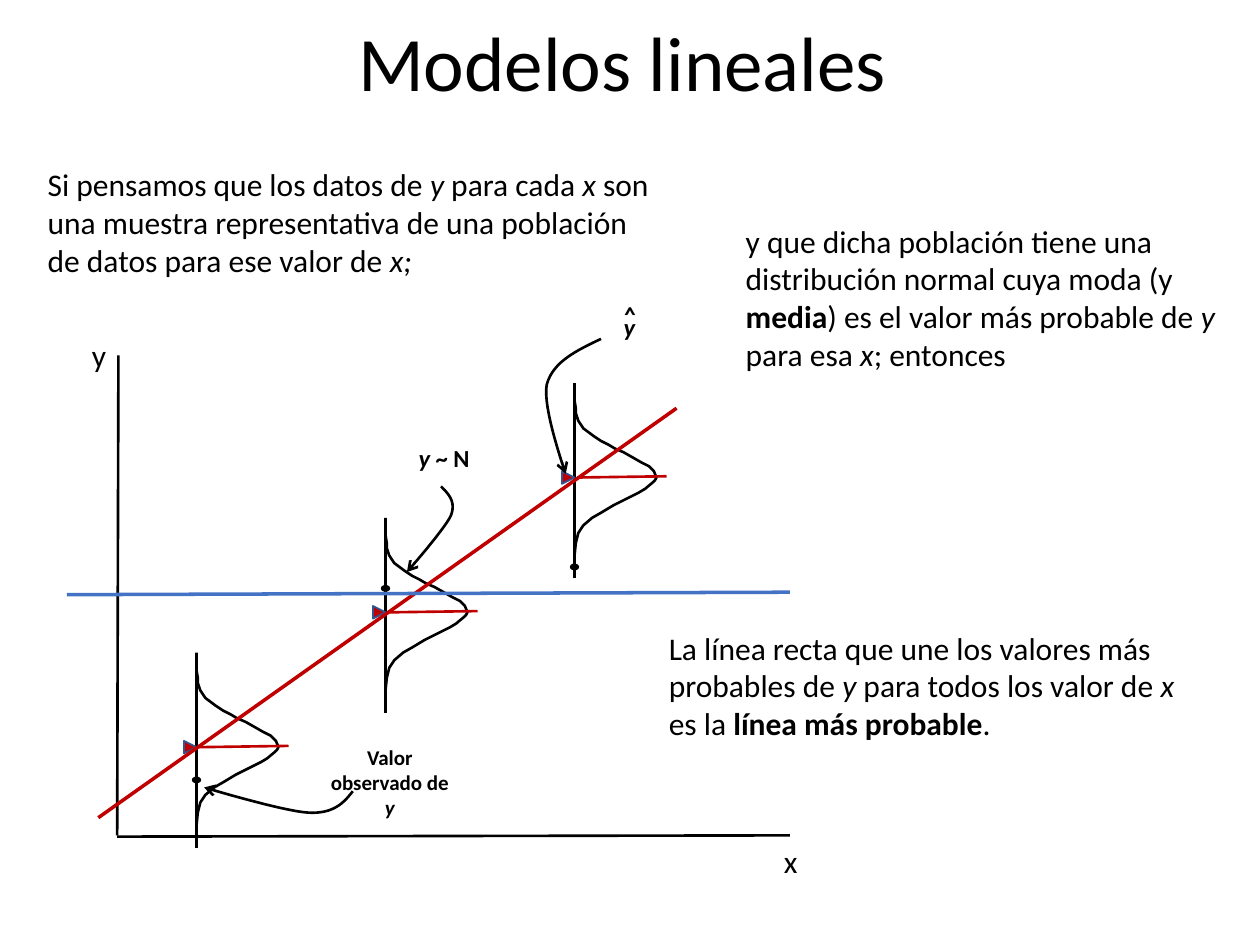
from lxml import etree
from pptx import Presentation
from pptx.dml.color import RGBColor
from pptx.enum import shapes, text
from pptx.oxml.ns import qn
from pptx.util import Inches, Pt

BLACK = RGBColor(0x00, 0x00, 0x00)
RED = RGBColor(0xC0, 0x00, 0x00)
BLUE = RGBColor(0x44, 0x72, 0xC4)
DARK_BLUE = RGBColor(0x32, 0x54, 0x91)
FONT = "Calibri"

# Offsets (right, down) from the mean of a normal curve lying on its side
BELL = [
    (0, 0.75), (0, 0.69), (0, 0.62), (0.01, 0.52), (0.03, 0.44), (0.07, 0.38),
    (0.14, 0.32), (0.21, 0.28), (0.31, 0.22), (0.41, 0.17), (0.51, 0.12),
    (0.56, 0.09), (0.62, 0.04), (0.64, 0.02), (0.65, 0), (0.63, -0.05),
    (0.59, -0.09), (0.53, -0.12), (0.46, -0.16), (0.39, -0.2), (0.32, -0.23),
    (0.27, -0.26), (0.21, -0.29), (0.15, -0.33), (0.07, -0.39), (0.03, -0.45),
    (0.01, -0.51), (0.01, -0.55), (0, -0.61), (0, -0.67), (0, -0.75),
]
BASE_BELOW, BASE_ABOVE = 0.8, 0.75
MODE_LENGTH = 0.73
TRIANGLE_SIZE = 0.1
DOT_WIDTH, DOT_HEIGHT = 0.06, 0.04

# The means lie on a straight line, one equal step apart
FIRST_MEAN_X, FIRST_MEAN_Y = 1.56, 5.93
MEAN_STEP_X, MEAN_STEP_Y = 1.5, -1.07
OBSERVED_TOPS = [6.17, 4.65, 4.48]

# Each pointer is a start followed by two cubic segments
POINTER_TO_CURVE = [(3.5, 3.86), (3.56, 3.92), (3.62, 3.98), (3.58, 4.09),
                    (3.53, 4.2), (3.23, 4.54), (3.23, 4.54)]
POINTER_TO_OBSERVED = [(2.8, 6.28), (2.73, 6.37), (2.65, 6.46), (2.45, 6.45),
                       (2.25, 6.44), (1.62, 6.25), (1.62, 6.25)]
POINTER_TO_MEAN = [(4.77, 2.69), (4.58, 2.78), (4.39, 2.87), (4.34, 3.05),
                   (4.3, 3.23), (4.49, 3.76), (4.49, 3.76)]


def write_text(shape, runs, size=18, align=None, anchor=text.MSO_ANCHOR.TOP, spacing=None):
    """Fill a shape with one paragraph of (words, style) runs; style holds b and/or i."""
    frame = shape.text_frame
    frame.word_wrap = True
    frame.vertical_anchor = anchor
    paragraph = frame.paragraphs[0]
    paragraph.alignment = align
    paragraph.line_spacing = spacing
    for words, style in runs:
        run = paragraph.add_run()
        run.text = words
        run.font.name = FONT
        run.font.size = Pt(size)
        run.font.color.rgb = BLACK
        run.font.bold = "b" in style
        run.font.italic = "i" in style


def add_text(slide, box, runs, **text_format):
    shape = slide.shapes.add_textbox(*map(Inches, box))
    write_text(shape, runs, **text_format)
    shape.text_frame.auto_size = text.MSO_AUTO_SIZE.SHAPE_TO_FIT_TEXT


def format_line(shape, color, width):
    shape.line.color.rgb = color
    shape.line.width = Pt(width)


def add_line(slide, start, end, color=BLACK, width=1.5):
    line = slide.shapes.add_connector(
        shapes.MSO_CONNECTOR.STRAIGHT, *map(Inches, (*start, *end)))
    format_line(line, color, width)
    etree.SubElement(line._element.spPr, qn("a:effectLst"))


def add_marker(slide, kind, box, fill, outline, rotation=0):
    marker = slide.shapes.add_shape(kind, *map(Inches, box))
    marker.rotation = rotation
    marker.shadow.inherit = False
    marker.fill.solid()
    marker.fill.fore_color.rgb = fill
    format_line(marker, outline, 1)


def add_curve(slide, points):
    start, *others = [(Inches(x), Inches(y)) for x, y in points]
    builder = slide.shapes.build_freeform(*start)
    builder.add_line_segments(others, close=False)
    curve = builder.convert_to_shape()
    curve.shadow.inherit = False
    curve.fill.background()
    format_line(curve, BLACK, 1.5)
    return curve


def cubic_point(segment, t):
    """Return the point at fraction t of a cubic segment with four control points."""
    weights = ((1 - t) ** 3, 3 * t * (1 - t) ** 2, 3 * t ** 2 * (1 - t), t ** 3)
    return tuple(sum(weight * value for weight, value in zip(weights, values))
                 for values in zip(*segment))


def add_pointer(slide, controls, steps=16):
    """Draw a chain of cubic segments that ends in an arrowhead."""
    points = [controls[0]]
    for first in range(0, len(controls) - 1, 3):
        segment = controls[first:first + 4]
        points += [cubic_point(segment, step / steps) for step in range(1, steps + 1)]
    pointer = add_curve(slide, points)
    outline = pointer._element.spPr.find(qn("a:ln"))
    etree.SubElement(outline, qn("a:tailEnd"), type="arrow")


def add_distribution(slide, x, y):
    """Draw the normal curve around mean y, with its base, mean marker and mode line."""
    add_curve(slide, [(x + right, y + down) for right, down in BELL])
    add_line(slide, (x, y + BASE_BELOW), (x, y - BASE_ABOVE))
    add_marker(slide, shapes.MSO_SHAPE.ISOSCELES_TRIANGLE,
               (x - TRIANGLE_SIZE, y - TRIANGLE_SIZE / 2, TRIANGLE_SIZE, TRIANGLE_SIZE),
               RED, DARK_BLUE, rotation=90)
    add_line(slide, (x + MODE_LENGTH, y - 0.01), (x + 0.02, y), RED)


def add_observed_value(slide, x, top):
    add_marker(slide, shapes.MSO_SHAPE.OVAL,
               (x - DOT_WIDTH / 2, top, DOT_WIDTH, DOT_HEIGHT), BLACK, BLACK)


def add_axes(slide):
    add_line(slide, (0.94, 2.82), (0.93, 6.63))
    add_line(slide, (6.27, 6.63), (0.93, 6.64))


def add_plot(slide):
    add_axes(slide)
    for index, observed_top in enumerate(OBSERVED_TOPS):
        x = FIRST_MEAN_X + index * MEAN_STEP_X
        y = FIRST_MEAN_Y + index * MEAN_STEP_Y
        add_distribution(slide, x, y)
        add_observed_value(slide, x, observed_top)
    for controls in (POINTER_TO_CURVE, POINTER_TO_OBSERVED, POINTER_TO_MEAN):
        add_pointer(slide, controls)
    add_line(slide, (0.78, 6.49), (5.37, 3.24), RED, width=2)
    add_line(slide, (0.53, 4.72), (6.27, 4.7), BLUE, width=2)


def add_plot_labels(slide):
    labels = [
        ((0.56, 2.62, 0.45, 0.36), 18, [("y", "")]),
        ((6.05, 6.63, 0.45, 0.36), 18, [("x", "")]),
        ((2.51, 5.86, 1.17, 0.71), 12, [("Valor observado de ", "b"), ("y", "bi")]),
        ((2.98, 3.47, 1.09, 0.34), 14, [("y", "bi"), (" ~ N", "b")]),
        ((4.45, 2.43, 1.09, 0.34), 14, [("y", "bi")]),
        ((4.8, 2.33, 0.39, 0.34), 14, [("^", "bi")]),
    ]
    for box, size, runs in labels:
        add_text(slide, box, runs, size=size, align=text.PP_ALIGN.CENTER)


def add_explanations(slide):
    add_text(slide, (0.28, 1.26, 5.05, 1.01), [
        ("Si pensamos que los datos de ", ""), ("y", "i"), (" para cada ", ""), ("x", "i"),
        (" son una muestra representativa de una población de datos para ese valor de ", ""),
        ("x;", "i")])
    add_text(slide, (5.82, 1.71, 4.01, 1.31), [
        ("y que dicha población tiene una distribución normal cuya moda (y ", ""),
        ("media", "b"), (") es el valor más probable de ", ""), ("y", "i"),
        (" para esa ", ""), ("x", "i"), ("; entonces", "")])
    add_text(slide, (5.21, 4.94, 4.36, 1.01), [
        ("La línea recta que une los valores más probables de ", ""), ("y", "i"),
        (" para todos los valor de ", ""), ("x", "i"), (" es la ", ""),
        ("línea más probable", "b"), (".", "")])


def add_title(slide):
    title = slide.shapes.title
    title.left, title.top, title.width, title.height = map(Inches, (0.63, -0.2, 8.62, 1.45))
    write_text(title, [("Modelos lineales", "")], size=44, align=text.PP_ALIGN.CENTER,
               anchor=text.MSO_ANCHOR.MIDDLE, spacing=0.9)


def main():
    presentation = Presentation()
    presentation.slide_width, presentation.slide_height = Inches(10), Inches(7.5)
    slide = presentation.slides.add_slide(presentation.slide_layouts[5])
    for add_part in (add_title, add_plot, add_plot_labels, add_explanations):
        add_part(slide)
    presentation.save("out.pptx")


if __name__ == "__main__":
    main()
